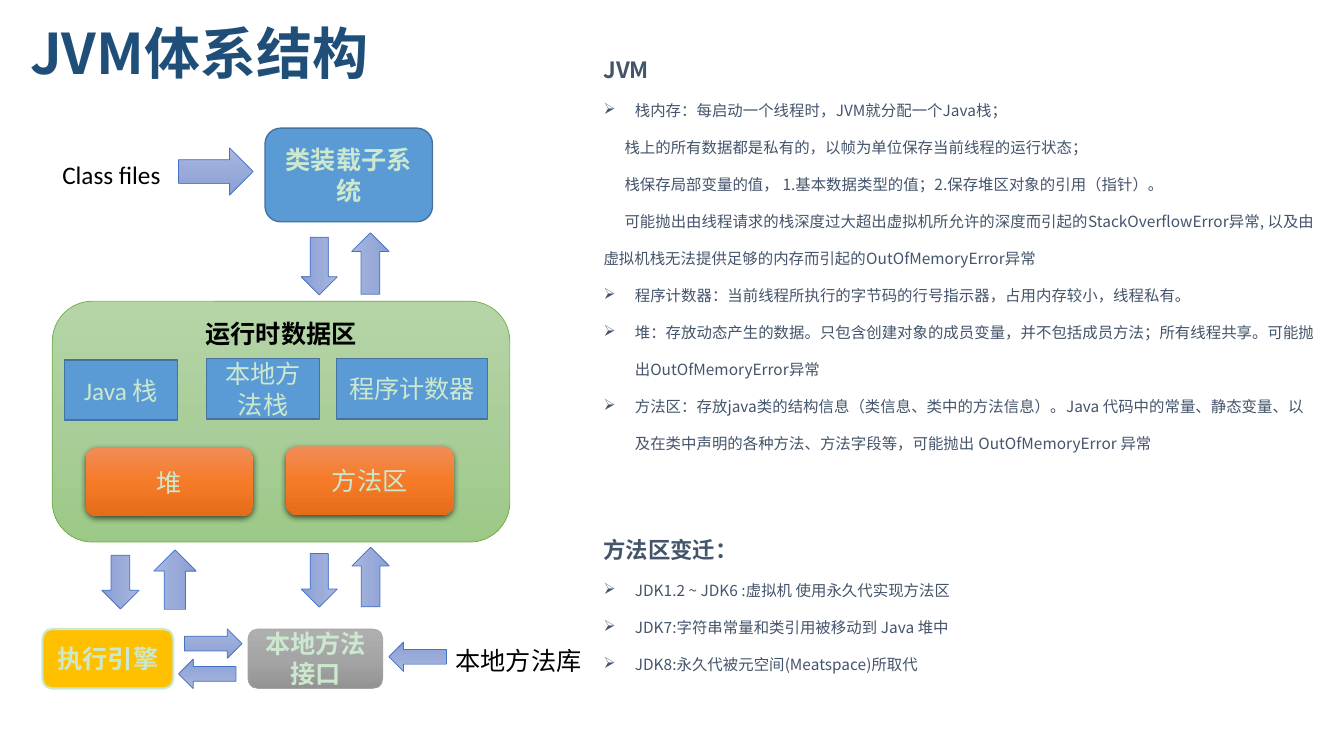
import copy

import pptx
import pptx.dml.color
import pptx.enum.shapes
import pptx.enum.text
import pptx.oxml
import pptx.oxml.ns
import pptx.util
from lxml import etree

Cm = pptx.util.Cm
Pt = pptx.util.Pt
RGB = pptx.dml.color.RGBColor
qn = pptx.oxml.ns.qn
KIND = pptx.enum.shapes.MSO_SHAPE
ALIGN = pptx.enum.text.PP_ALIGN
ANCHOR = pptx.enum.text.MSO_ANCHOR

NAVY = RGB(0x1F, 0x4E, 0x79)
SLATE = RGB(0x44, 0x54, 0x6A)
BLACK = RGB(0x00, 0x00, 0x00)
MINT = RGB(0xCC, 0xE8, 0xCF)
BLUE = RGB(0x5B, 0x9B, 0xD5)
STEEL = RGB(0x43, 0x73, 0x9E)
ROYAL = RGB(0x44, 0x72, 0xC4)
LEAF = RGB(0x70, 0xAD, 0x47)
GOLD = RGB(0xFF, 0xC0, 0x00)
GRAY = RGB(0xA5, 0xA5, 0xA5)
SKIES = RGB(0xA8, 0xB7, 0xDF), RGB(0x9A, 0xAB, 0xD9), RGB(0x88, 0x9E, 0xD7)
GREENS = RGB(0xB5, 0xD5, 0xA7), RGB(0xAA, 0xCE, 0x9A), RGB(0x9C, 0xC9, 0x87)
FIRES = RGB(0xF1, 0x8C, 0x57), RGB(0xF6, 0x7B, 0x28), RGB(0xE5, 0x6C, 0x19)
GRAYS = RGB(0xAF, 0xAF, 0xAF), GRAY, RGB(0x93, 0x93, 0x93)

LATIN = "Calibri"
HAN = "Noto Sans CJK SC"
TITLE = {"name": HAN, "size": Pt(40), "bold": True}
HEAD = {"name": HAN, "size": Pt(16), "bold": True}
BODY = {"name": HAN, "size": Pt(11), "bold": False}
LABEL = {"name": LATIN, "size": Pt(18), "bold": False}
STRONG = {"name": LATIN, "size": Pt(18), "bold": True}


def write(par, text, form, color):
    """Add a run with its font values, the Han face included."""
    run = par.add_run()
    run.text = text
    for key, value in form.items():
        setattr(run.font, key, value)
    run.font.color.rgb = color
    face = etree.SubElement(run.font._element, qn("a:ea"))
    face.set("typeface", HAN)


def draw(kind, box, fill, line, width):
    """Add a shape; a tuple of three colours makes a vertical gradient."""
    shape = slide.shapes.add_shape(kind, *map(Cm, box))
    shape.shadow.inherit = False
    if isinstance(fill, RGB):
        shape.fill.solid()
        shape.fill.fore_color.rgb = fill
    else:
        shape.fill.gradient()
        shape.fill.gradient_angle = 270
        first = shape._element.spPr.find(".//" + qn("a:gs"))
        mid = copy.deepcopy(first)
        mid.set("pos", "50000")
        first.addnext(mid)
        for stop, color in zip(shape.fill.gradient_stops, fill):
            stop.color.rgb = color
    if line is None:
        shape.line.fill.background()
    else:
        shape.line.color.rgb = line
        shape.line.width = Pt(width)
    return shape


deck = pptx.Presentation()
deck.slide_width, deck.slide_height = Cm(33.87), Cm(19.05)
slide = deck.slides.add_slide(deck.slide_layouts[6])

# Title
frame = slide.shapes.add_textbox(Cm(0.51), Cm(0.48), Cm(22.02), Cm(1.9)).text_frame
frame.word_wrap = True
frame.vertical_anchor = ANCHOR.MIDDLE
frame.paragraphs[0].line_spacing = 0.9
write(frame.paragraphs[0], "JVM", TITLE, NAVY)
write(frame.paragraphs[0], "体系结构", TITLE | {"name": LATIN}, NAVY)

# Boxes of the diagram, back to front
ROUND, RECT = KIND.ROUNDED_RECTANGLE, KIND.RECTANGLE
boxes = [
    ("类装载子系统", ROUND, (6.68, 3.23, 4.22, 2.36), BLUE, STEEL, 1, STRONG, MINT),
    ("运行时数据区", ROUND, (1.32, 7.59, 11.53, 6.07), GREENS, LEAF, 0.5, STRONG, BLACK),
    ("Java 栈", RECT, (1.63, 9.07, 2.84, 1.52), BLUE, STEEL, 1, LABEL, MINT),
    ("本地方法栈", RECT, (5.21, 9.04, 2.84, 1.52), BLUE, STEEL, 1, LABEL, MINT),
    ("程序计数器", RECT, (8.48, 9.04, 3.81, 1.52), BLUE, STEEL, 1, LABEL, MINT),
    ("堆", ROUND, (2.16, 11.28, 4.22, 1.73), FIRES, None, 0, LABEL, MINT),
    ("方法区", ROUND, (7.21, 11.25, 4.22, 1.73), FIRES, None, 0, LABEL, MINT),
    ("执行引擎", ROUND, (1.07, 15.85, 3.3, 1.5), GOLD, MINT, 1.5, STRONG, MINT),
    ("本地方法接口", ROUND, (6.25, 15.85, 3.4, 1.5), GRAYS, GRAY, 0.5, STRONG, MINT),
]
for text, kind, box, fill, line, width, form, color in boxes:
    shape = draw(kind, box, fill, line, width)
    frame = shape.text_frame
    frame.word_wrap = True
    frame.vertical_anchor = ANCHOR.TOP if fill is GREENS else ANCHOR.MIDDLE
    frame.paragraphs[0].alignment = ALIGN.CENTER
    write(frame.paragraphs[0], text, form, color)
    if fill is FIRES:
        glow = shape._element.spPr.find(qn("a:effectLst"))
        cast = etree.SubElement(glow, qn("a:outerShdw"), blurRad="57150",
                                dist="19050", dir="5400000", algn="ctr", rotWithShape="0")
        tone = etree.SubElement(cast, qn("a:srgbClr"), val="000000")
        etree.SubElement(tone, qn("a:alpha"), val="63000")

# Block arrows: turn in degrees and frame before the turn
arrows = [
    (0, (4.5, 3.73, 1.88, 1.19)),
    (90, (7.32, 6.25, 1.45, 0.91)),
    (270, (8.56, 6.17, 1.55, 0.94)),
    (90, (2.36, 14.2, 1.35, 0.94)),
    (270, (3.66, 14.07, 1.5, 1.07)),
    (90, (7.37, 14.17, 1.35, 0.91)),
    (270, (8.59, 14.07, 1.5, 0.94)),
    (0, (4.65, 15.85, 1.45, 0.74)),
    (180, (4.5, 16.61, 1.45, 0.74)),
    (180, (9.8, 16.18, 1.45, 0.74)),
]
for turn, box in arrows:
    draw(KIND.RIGHT_ARROW, box, SKIES, ROYAL, 0.5).rotation = turn

# Loose labels
for text, box in [("Class files", (1.32, 3.89, 3.02, 1.02)),
                  ("本地方法库", (11.23, 16.13, 3.71, 1.02))]:
    frame = slide.shapes.add_textbox(*map(Cm, box)).text_frame
    frame.word_wrap = False
    write(frame.paragraphs[0], text, LABEL, BLACK)

# Notes on the right: each line is a head, a bulleted item or an indented text
notes = [
    ((14.96, 0.61, 18.52, 11.02), [
        ("head", "JVM"),
        ("item", "栈内存：每启动一个线程时，JVM就分配一个Java栈；"),
        ("text", "栈上的所有数据都是私有的，以帧为单位保存当前线程的运行状态；"),
        ("text", "栈保存局部变量的值， 1.基本数据类型的值；2.保存堆区对象的引用（指针）。"),
        ("text", "可能抛出由线程请求的栈深度过大超出虚拟机所允许的深度而引起的"
                 "StackOverflowError异常, 以及由虚拟机栈无法提供足够的内存而引起的"
                 "OutOfMemoryError异常"),
        ("item", "程序计数器：当前线程所执行的字节码的行号指示器，占用内存较小，线程私有。"),
        ("item", "堆：存放动态产生的数据。只包含创建对象的成员变量，并不包括成员方法；"
                 "所有线程共享。可能抛出OutOfMemoryError异常"),
        ("item", "方法区：存放java类的结构信息（类信息、类中的方法信息）。Java 代码中的常量、"
                 "静态变量、以及在类中声明的各种方法、方法字段等，可能抛出 OutOfMemoryError 异常"),
    ]),
    ((14.96, 12.7, 17.78, 4.45), [
        ("head", "方法区变迁："),
        ("item", "JDK1.2 ~ JDK6 :虚拟机 使用永久代实现方法区"),
        ("item", "JDK7:字符串常量和类引用被移动到 Java 堆中"),
        ("item", "JDK8:永久代被元空间(Meatspace)所取代"),
    ]),
]
dents = {"head": (0, 0), "item": (0.79, -0.79), "text": (0, 0.53)}
for box, lines in notes:
    frame = slide.shapes.add_textbox(*map(Cm, box)).text_frame
    frame.word_wrap = True
    for rank, (role, text) in enumerate(lines):
        par = frame.add_paragraph() if rank else frame.paragraphs[0]
        par.line_spacing = 2.0
        props = par._p.get_or_add_pPr()
        for key, size in zip(("marL", "indent"), dents[role]):
            props.set(key, str(Cm(size)))
        if role == "item":
            etree.SubElement(props, qn("a:buChar"), char="➢")
        write(par, text, HEAD if role == "head" else BODY, SLATE)

deck.save("out.pptx")
